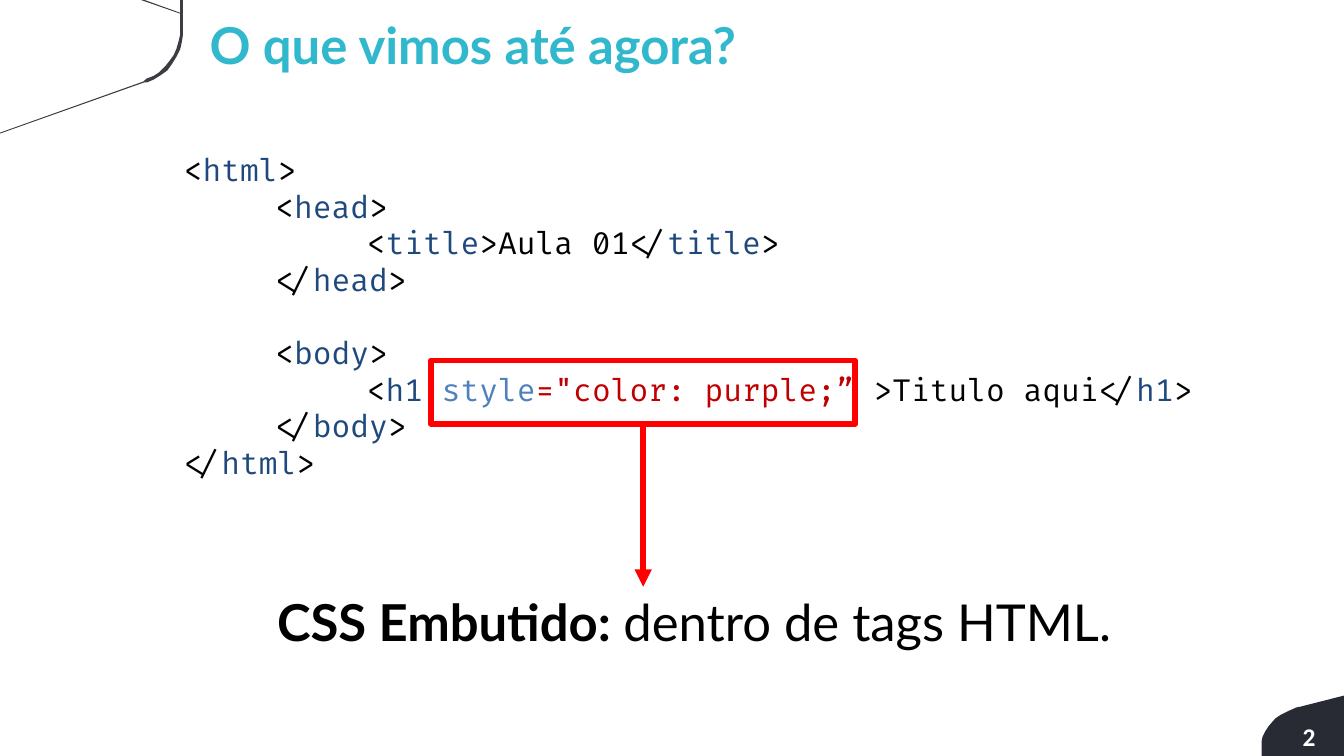
from lxml import etree
from pptx import Presentation
from pptx import util as u
from pptx.dml.color import RGBColor
from pptx.enum import shapes
from pptx.oxml import ns

BLACK = RGBColor(0, 0, 0)
WHITE = RGBColor(255, 255, 255)
RED = RGBColor(255, 0, 0)
TEAL = RGBColor(0x31, 0xB8, 0xCD)
TAG_BLUE = RGBColor(0x1F, 0x49, 0x7D)
ATTRIBUTE_BLUE = RGBColor(0x4F, 0x81, 0xBD)
VALUE_RED = RGBColor(0xC0, 0, 0)
BADGE_DARK = RGBColor(0x28, 0x2B, 0x34)
FRAME_DARK = RGBColor(0x3B, 0x3D, 0x42)

# Content: each paragraph is a list of (text, colour) or (text, colour, bold)
TITLE = [[("O que vimos até agora?", TEAL, True)]]
CAPTION = [[("CSS Embutido: ", BLACK, True), ("dentro de tags HTML.", BLACK)]]
PAGE_NUMBER = [[("2", WHITE, True)]]


def tag_line(indent, name, closing=False):
    return [("\t" * indent + ("</" if closing else "<"), BLACK),
            (name, TAG_BLUE), (">", BLACK)]


CODE = [
    tag_line(0, "html"),
    tag_line(1, "head"),
    [("\t\t<", BLACK), ("title", TAG_BLUE), (">Aula 01</", BLACK),
     ("title", TAG_BLUE), (">", BLACK)],
    tag_line(1, "head", closing=True),
    tag_line(1, "body"),
    [("\t\t<", BLACK), ("h1 ", TAG_BLUE), ("style", ATTRIBUTE_BLUE),
     ("=\"color: purple;” ", VALUE_RED), (">Titulo aqui</", BLACK),
     ("h1", TAG_BLUE), (">", BLACK)],
    tag_line(1, "body", closing=True),
    tag_line(0, "html", closing=True),
]
BODY_LINE = 4
CODE_LINE_HEIGHT = 28.8
CODE_TABS = (1, 2)

# Outlines of the two corner decorations, in inches
BADGE = [(14.69, 8.26), (13.79, 8.26), (13.79, 8.1), (13.8, 8.05),
         (13.83, 7.99), (13.87, 7.93), (13.94, 7.85), (14, 7.81),
         (14.08, 7.77), (14.17, 7.73), (14.22, 7.72), (14.69, 7.6)]
FRAME = [(0, 1.46), (0, 1.45), (1.57, 0.89), (1.6, 0.86), (1.68, 0.83),
         (1.74, 0.79), (1.81, 0.72), (1.85, 0.67), (1.9, 0.6),
         (1.93, 0.53), (1.95, 0.46), (1.97, 0.38), (1.97, 0.15),
         (1.54, 0), (1.58, 0), (1.97, 0.14), (1.97, 0), (2, 0),
         (2, 0.38), (1.99, 0.45), (1.97, 0.54), (1.93, 0.62),
         (1.88, 0.7), (1.83, 0.77), (1.76, 0.82), (1.68, 0.87),
         (1.61, 0.9), (1.58, 0.9)]

# Highlight around the style attribute: left, top, width, height
HIGHLIGHT = (4.71, 3.94, 4.64, 0.69)
CAPTION_TOP = 6.41

deck = Presentation()
deck.slide_width, deck.slide_height = u.Inches(14.69), u.Inches(8.26)
page = deck.slides.add_slide(deck.slide_layouts[6])


def add_text(paragraphs, place, font="Lato", size=40, inset=(0.1, 0.05), wrap=True,
             tabs=()):
    box = page.shapes.add_textbox(*map(u.Inches, place))
    frame = box.text_frame
    frame.word_wrap = wrap
    frame.margin_left = frame.margin_right = u.Inches(inset[0])
    frame.margin_top = frame.margin_bottom = u.Inches(inset[1])
    for index, spans in enumerate(paragraphs):
        para = frame.add_paragraph() if index else frame.paragraphs[0]
        if tabs:
            tab_list = etree.SubElement(para._p.get_or_add_pPr(), ns.qn("a:tabLst"))
            for stop in tabs:
                etree.SubElement(tab_list, ns.qn("a:tab"), pos=str(u.Inches(stop)),
                                 algn="l")
        for words, colour, *bold in spans:
            span = para.add_run()
            span.text = words
            span.font.name = font
            span.font.size = u.Pt(size)
            span.font.bold = bool(bold)
            span.font.color.rgb = colour
    return box


def add_outline(points, colour):
    start, *others = [(u.Inches(x), u.Inches(y)) for x, y in points]
    builder = page.shapes.build_freeform(*start)
    builder.add_line_segments(others, close=True)
    outline = builder.convert_to_shape()
    outline.shadow.inherit = False
    outline.fill.solid()
    outline.fill.fore_color.rgb = colour
    outline.line.fill.background()


# Corner decorations
add_outline(BADGE, BADGE_DARK)
add_outline(FRAME, FRAME_DARK)

# Title and code, with one empty line's height before the body tag
add_text(TITLE, (2.29, 0.15, 10.98, 0.69), inset=(0, 0))
code_box = add_text(CODE, (2.01, 1.65, 11.13, 3.62), font="Fira Code", size=24,
                    inset=(0, 0), tabs=CODE_TABS)
code_box.text_frame.paragraphs[BODY_LINE].space_before = u.Pt(CODE_LINE_HEIGHT)

# Highlight, caption and the arrow between them
highlight = page.shapes.add_shape(shapes.MSO_SHAPE.RECTANGLE, *map(u.Inches, HIGHLIGHT))
highlight.shadow.inherit = False
highlight.fill.background()
add_text(CAPTION, (2.93, CAPTION_TOP, 9.91, 0.76))

left, top, width, height = HIGHLIGHT
middle = u.Inches(left + width / 2)
arrow = page.shapes.add_connector(shapes.MSO_CONNECTOR.STRAIGHT, middle,
                                  u.Inches(top + height), middle, u.Inches(CAPTION_TOP))
for item in (highlight, arrow):
    item.line.color.rgb = RED
    item.line.width = u.Pt(4.5)
etree.SubElement(arrow.line._get_or_add_ln(), ns.qn("a:tailEnd"), type="triangle")
etree.SubElement(arrow._element.spPr, ns.qn("a:effectLst"))

# Page number
add_text(PAGE_NUMBER, (14.14, 7.83, 0.38, 0.44), font="Calibri", size=20, wrap=False)

deck.save("out.pptx")
